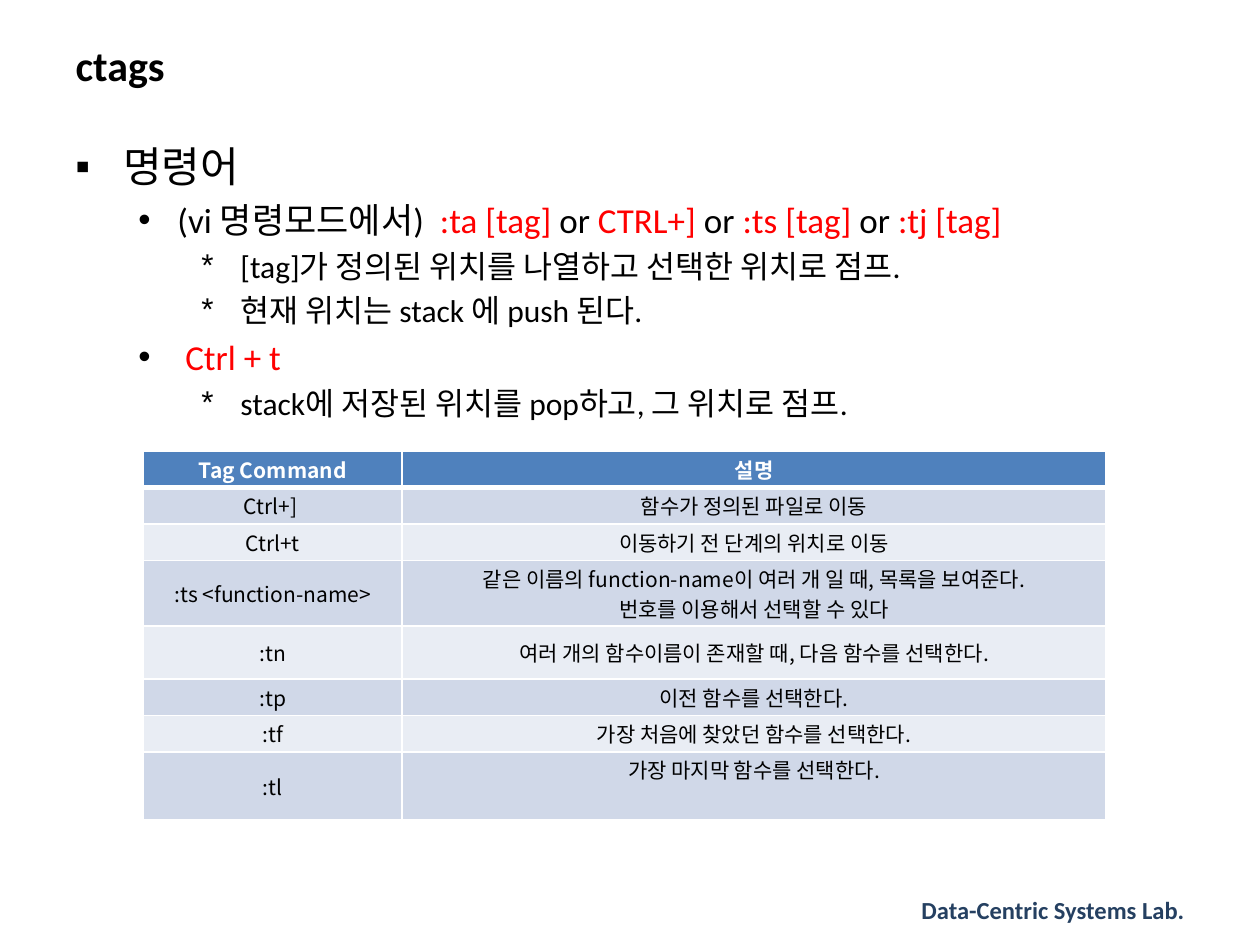
from lxml.etree import SubElement
from pptx import Presentation
from pptx.dml.color import RGBColor
from pptx.enum.text import MSO_ANCHOR as Anchor, PP_ALIGN as Align
from pptx.oxml.ns import qn
from pptx.util import Inches, Pt

BLACK = RGBColor(0x00, 0x00, 0x00)
WHITE = RGBColor(0xFF, 0xFF, 0xFF)
RED = RGBColor(0xFF, 0x00, 0x00)
NAVY = RGBColor(0x25, 0x40, 0x61)
BLUE = RGBColor(0x4F, 0x81, 0xBD)
BANDS = [RGBColor(0xD0, 0xD8, 0xE8), RGBColor(0xE9, 0xED, 0xF4)]
SANS, KOREAN = "Calibri", "Noto Sans CJK KR"

# Per level: text indent, hanging width, bullet, size
LEVELS = [(0.38, 0.38, "▪", 24), (0.81, 0.31, "•", 20), (1.31, 0.31, "*", 18)]

# Level, then runs in alternating black and red
POINTS = [
    (0, ["명령어"]),
    (1, ["(vi 명령모드에서)  ", ":ta [tag] ", "or", " CTRL+]", " or ",
         ":ts [tag]", " or ", ":tj [tag]"]),
    (2, ["[tag]가 정의된 위치를 나열하고 선택한 위치로 점프."]),
    (2, ["현재 위치는 stack 에 push 된다."]),
    (1, [" ", "Ctrl + t"]),
    (2, ["stack에 저장된 위치를 pop하고, 그 위치로 점프."]),
]

# Row height, command, meaning
ROWS = [
    (0.29, "Tag Command", "설명"),
    (0.29, "Ctrl+] ", "함수가 정의된 파일로 이동"),
    (0.29, "Ctrl+t", "이동하기 전 단계의 위치로 이동"),
    (0.52, ":ts <function-name>",
     "같은 이름의 function-name이 여러 개 일 때, 목록을 보여준다.\n"
     "번호를 이용해서 선택할 수 있다"),
    (0.42, ":tn", "여러 개의 함수이름이 존재할 때, 다음 함수를 선택한다."),
    (0.29, ":tp", "이전 함수를 선택한다."),
    (0.29, ":tf", "가장 처음에 찾았던 함수를 선택한다."),
    (0.54, ":tl", "가장 마지막 함수를 선택한다."),
]
COLS = [2.05, 5.59]


def style(para, size, color, name=SANS, bold=False, align=Align.LEFT):
    para.alignment = align
    font = para.font
    font.size, font.name, font.bold = Pt(size), name, bold
    font.color.rgb = color


def place(shape, box):
    shape.left, shape.top, shape.width, shape.height = map(Inches, box)


def add_title(slide, box):
    title = slide.shapes.title
    place(title, box)
    frame = title.text_frame
    frame.text = "ctags"
    frame.vertical_anchor = Anchor.MIDDLE
    style(frame.paragraphs[0], 24, BLACK, bold=True)


def add_bullet(para, level):
    indent, hang, mark, _ = LEVELS[level]
    props = para._p.get_or_add_pPr()
    props.set("marL", str(Inches(indent)))
    props.set("indent", str(-Inches(hang)))
    tint = SubElement(props, qn("a:buClr"))
    SubElement(tint, qn("a:srgbClr"), val=str(BLACK))
    SubElement(props, qn("a:buFont"), typeface="Arial")
    SubElement(props, qn("a:buChar"), char=mark)


def add_points(slide, box):
    frame = slide.shapes.add_textbox(*map(Inches, box)).text_frame
    frame.word_wrap = True
    for i, (level, runs) in enumerate(POINTS):
        para = frame.paragraphs[0] if i == 0 else frame.add_paragraph()
        size = LEVELS[level][3]
        para.level = level
        add_bullet(para, level)
        style(para, size, BLACK)
        if i:
            para.space_before = Pt(size * 0.2)
        for j, text in enumerate(runs):
            run = para.add_run()
            run.text = text
            if j % 2:
                run.font.color.rgb = RED


def add_edges(cell, head):
    props = cell._tc.get_or_add_tcPr()
    for i, side in enumerate(["lnL", "lnR", "lnT", "lnB"]):
        width = 3 if head and side == "lnB" else 1
        line = props.makeelement(qn("a:" + side), {"w": str(Pt(width))})
        fill = SubElement(line, qn("a:solidFill"))
        SubElement(fill, qn("a:srgbClr"), val=str(WHITE))
        props.insert(i, line)


def fill_cell(cell, text, row):
    head = row == 0
    cell.text = text
    cell.vertical_anchor = Anchor.MIDDLE
    cell.margin_left = cell.margin_right = Inches(0.02)
    cell.margin_top = cell.margin_bottom = Inches(0.02)
    cell.fill.solid()
    cell.fill.fore_color.rgb = BLUE if head else BANDS[(row - 1) % 2]
    for para in cell.text_frame.paragraphs:
        style(para, 12, WHITE if head else BLACK, KOREAN, head, Align.CENTER)
    add_edges(cell, head)


def add_commands(slide, left, top):
    height = sum(row[0] for row in ROWS)
    box = left, top, sum(COLS), height
    table = slide.shapes.add_table(len(ROWS), len(COLS),
                                   *map(Inches, box)).table
    for col, width in zip(table.columns, COLS):
        col.width = Inches(width)
    for i, (tall, *texts) in enumerate(ROWS):
        table.rows[i].height = Inches(tall)
        for j, text in enumerate(texts):
            fill_cell(table.cell(i, j), text, i)
    # The last meaning sits at the top of its tall row
    table.cell(len(ROWS) - 1, 1).vertical_anchor = Anchor.TOP


def add_footer(slide, box):
    frame = slide.shapes.add_textbox(*map(Inches, box)).text_frame
    frame.word_wrap = True
    frame.vertical_anchor = Anchor.BOTTOM
    frame.text = "Data-Centric Systems Lab."
    style(frame.paragraphs[0], 14, NAVY, bold=True, align=Align.RIGHT)


def main():
    deck = Presentation()
    deck.slide_width, deck.slide_height = Inches(10), Inches(7.5)
    slide = deck.slides.add_slide(deck.slide_layouts[5])
    add_footer(slide, (5.55, 7.02, 3.95, 0.37))
    add_title(slide, (0.5, 0.21, 9, 0.61))
    add_points(slide, (0.5, 1.07, 9, 5.83))
    add_commands(slide, 1.14, 3.58)
    deck.save("out.pptx")


if __name__ == "__main__":
    main()
